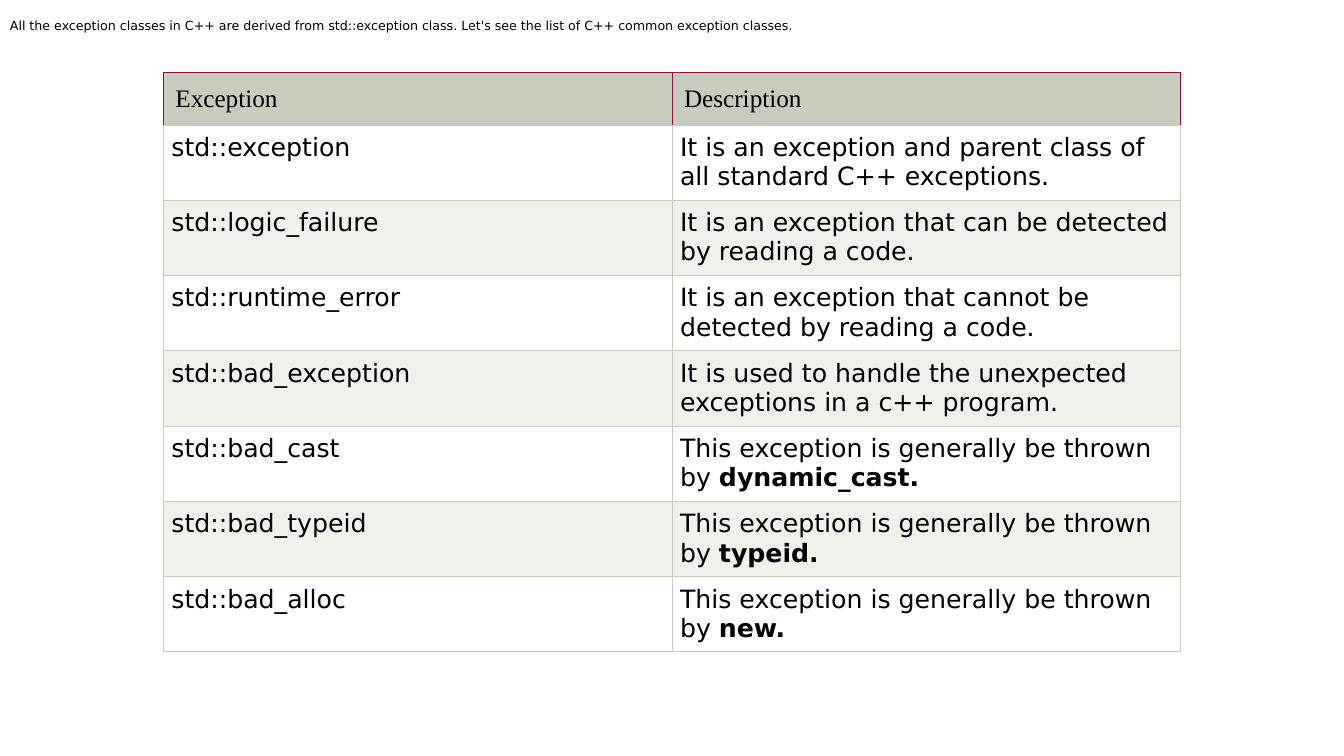
"""Build a slide that lists the common C++ exception classes in a table."""
from dataclasses import dataclass

from lxml.etree import SubElement
from pptx import Presentation
from pptx.dml.color import RGBColor as RGB
from pptx.enum.text import MSO_ANCHOR as Anchor
from pptx.oxml.ns import qn
from pptx.util import Inches, Pt

INTRO = ("All the exception classes in C++ are derived from std::exception class. "
         "Let's see the list of C++ common exception classes.")
HEADER = ("Exception", "Description")
THROWN_BY = "This exception is generally be thrown by "
ROWS = [
    ("std::exception", "It is an exception and parent class of all standard C++ exceptions.", ""),
    ("std::logic_failure", "It is an exception that can be detected by reading a code.", ""),
    ("std::runtime_error", "It is an exception that cannot be detected by reading a code.", ""),
    ("std::bad_exception", "It is used to handle the unexpected exceptions in a c++ program.", ""),
    ("std::bad_cast", THROWN_BY, "dynamic_cast."),
    ("std::bad_typeid", THROWN_BY, "typeid."),
    ("std::bad_alloc", THROWN_BY, "new."),
]


@dataclass(frozen=True)
class Theme:
    text: str = "000000"
    header: str = "C7CCBE"
    bands: tuple = ("FFFFFF", "EFF1EB")
    rule: str = "C7CCBE"
    accent: str = "980B41"
    body_font: str = "DejaVu Sans"
    header_font: str = "Times New Roman"
    intro_size: int = 9
    table_size: int = 18
    rule_width: float = 0.75


THEME = Theme()
LEFT, TOP, WIDTH = 1.62, 0.72, 10.09
HEADER_HEIGHT, BODY_HEIGHT = 0.52, 5.23


def add_text(tf, text, font=THEME.body_font, size=THEME.table_size, bold=False):
    r = tf.paragraphs[0].add_run()
    r.text = text
    r.font.name = font
    r.font.size = Pt(size)
    r.font.bold = bold
    r.font.color.rgb = RGB.from_string(THEME.text)


def set_borders(cell, **colors):
    props = cell._tc.get_or_add_tcPr()
    for i, side in enumerate("LRTB"):
        ln = props.makeelement(qn(f"a:ln{side}"), {"w": str(Pt(THEME.rule_width))})
        fill = SubElement(ln, qn("a:solidFill"))
        SubElement(fill, qn("a:srgbClr"), val=colors.get(side, THEME.rule))
        props.insert(i, ln)


def format_cell(cell, fill, inset, **borders):
    cell.fill.solid()
    cell.fill.fore_color.rgb = RGB.from_string(fill)
    cell.margin_left = cell.margin_right = Inches(inset)
    cell.margin_top = cell.margin_bottom = Inches(inset)
    set_borders(cell, **borders)


def add_intro(s):
    tf = s.shapes.add_textbox(0, 0, Inches(13.33), Inches(0.5)).text_frame
    tf.word_wrap = True
    tf.vertical_anchor = Anchor.MIDDLE
    add_text(tf, INTRO, size=THEME.intro_size)


def add_exception_table(s):
    table = s.shapes.add_table(
        len(ROWS) + 1, len(HEADER), Inches(LEFT), Inches(TOP),
        Inches(WIDTH), Inches(HEADER_HEIGHT + BODY_HEIGHT)).table
    for row in table.rows:
        row.height = Inches(BODY_HEIGHT / len(ROWS))
    table.rows[0].height = Inches(HEADER_HEIGHT)

    for col, label in enumerate(HEADER):
        cell = table.cell(0, col)
        format_cell(cell, THEME.header, 0.12, **dict.fromkeys("LRT", THEME.accent))
        add_text(cell.text_frame, label, font=THEME.header_font)

    for i, (name, description, keyword) in enumerate(ROWS):
        for col, text in enumerate((name, description)):
            cell = table.cell(i + 1, col)
            borders = {} if i else {"T": THEME.rule}
            format_cell(cell, THEME.bands[i % 2], 0.08, **borders)
            add_text(cell.text_frame, text)
        if keyword:
            add_text(table.cell(i + 1, 1).text_frame, keyword, bold=True)


def main():
    prs = Presentation()
    prs.slide_width, prs.slide_height = Inches(13.33), Inches(7.5)
    s = prs.slides.add_slide(prs.slide_layouts[6])
    add_exception_table(s)
    add_intro(s)
    prs.save("out.pptx")


if __name__ == "__main__":
    main()
